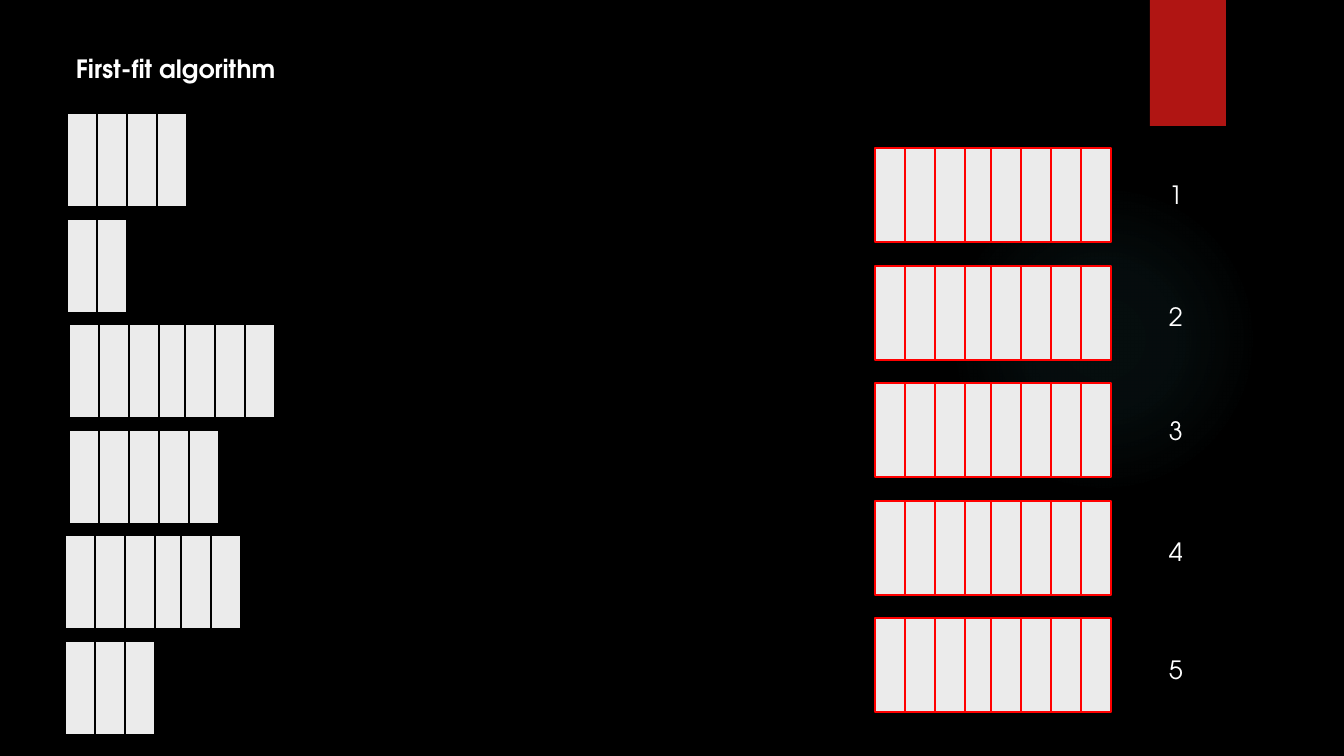
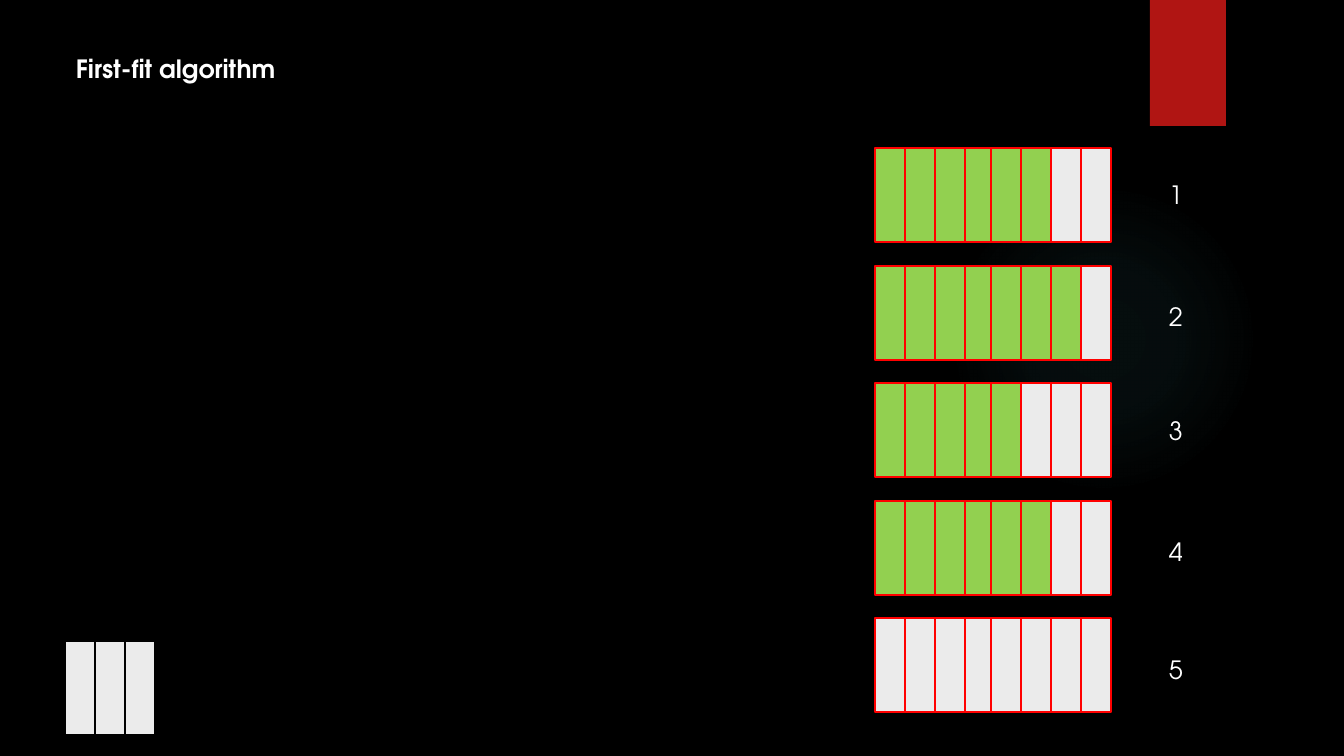
import pptx
import pptx.dml.color
import pptx.enum.shapes
import pptx.enum.text
import pptx.oxml
import pptx.oxml.ns
import pptx.util

COLORS = {
    "background": "000000",
    "text": "FFFFFF",
    "band": "B01513",
    "glow": "50B9C1",
    "free": "EBEBEB",
    "used": "92D050",
    "request_edge": "000000",
    "block_edge": "FF0000",
}
FONT = "TeX Gyre Adventor"
TITLE = "First-fit algorithm"
GLOW_STOPS = ((0, 7), (36, 6), (69, 0))

UNIT_WIDTH, UNIT_HEIGHT, UNIT_STEP = 30, 94, 30
MIDDLE_UNIT, MIDDLE_OVERLAP = 4, 4
REQUEST_TOP, REQUEST_STEP = 113, 105.6
BLOCK_LEFT, BLOCK_TOP, BLOCK_STEP = 875, 148, 117.6
BLOCK_SIZE = 8
NUMBER_LEFT = 1159
NUMBER_TOPS = (174, 296, 410, 531, 649)

REQUESTS = ((67, 4), (67, 2), (69, 7), (69, 5), (65, 6), (65, 3))
STEPS = (
    {"waiting": range(6), "used": (0, 0, 0, 0, 0)},
    {"waiting": (5,), "used": (6, 7, 5, 6, 0)},
)


def px(length):
    return pptx.util.Emu(round(length * 914400 / 100.8))


def color(name):
    return pptx.dml.color.RGBColor.from_string(COLORS[name])


def drawing_xml(content):
    return pptx.oxml.parse_xml(content.replace(
        " ", f" {pptx.oxml.ns.nsdecls('a')} ", 1))


class Deck:
    def __init__(self):
        self.presentation = pptx.Presentation()
        self.presentation.slide_width = px(1344)
        self.presentation.slide_height = px(756)
        backdrop = self.presentation.slide_master.background.fill
        backdrop.solid()
        backdrop.fore_color.rgb = color("background")
        self.slide = None

    def new_slide(self):
        self.slide = self.presentation.slides.add_slide(
            self.presentation.slide_layouts[6])
        self.glow(949, 184, 310)
        self.band(1150, 0, 76, 126)
        self.text(TITLE, 66, 48, 221, bold=True)

    def shape(self, kind, left, top, width, height, fill=None, edge=None):
        figure = self.slide.shapes.add_shape(
            kind, px(left), px(top), px(width), px(height))
        figure.shadow.inherit = False
        if fill:
            figure.fill.solid()
            figure.fill.fore_color.rgb = color(fill)
        else:
            figure.fill.background()
        if edge:
            figure.line.color.rgb = color(edge)
            figure.line.width = pptx.util.Pt(1.5)
        else:
            figure.line.fill.background()
        return figure

    def rectangle(self, left, top, width, height, fill, edge=None):
        return self.shape(pptx.enum.shapes.MSO_SHAPE.RECTANGLE,
                          left, top, width, height, fill, edge)

    def glow(self, left, top, size):
        halo = self.shape(pptx.enum.shapes.MSO_SHAPE.OVAL, left, top, size, size)
        stops = "".join(
            f'<a:gs pos="{position * 1000}"><a:srgbClr val="{COLORS["glow"]}">'
            f'<a:alpha val="{opacity * 1000}"/></a:srgbClr></a:gs>'
            for position, opacity in GLOW_STOPS)
        gradient = drawing_xml(
            f'<a:gradFill rotWithShape="1"><a:gsLst>{stops}</a:gsLst>'
            '<a:path path="circle"><a:fillToRect l="50000" t="50000" '
            'r="50000" b="50000"/></a:path></a:gradFill>')
        properties = halo.element.spPr
        properties.replace(
            properties.find(pptx.oxml.ns.qn("a:noFill")), gradient)

    def band(self, left, top, width, height):
        ribbon = self.rectangle(left, top, width, height, "band")
        effects = ribbon.element.spPr.find(pptx.oxml.ns.qn("a:effectLst"))
        effects.append(drawing_xml(
            f'<a:outerShdw blurRad="{pptx.util.Pt(3)}" '
            f'dist="{pptx.util.Pt(2)}" dir="5400000" rotWithShape="0">'
            '<a:srgbClr val="000000"><a:alpha val="45000"/></a:srgbClr>'
            '</a:outerShdw>'))

    def text(self, words, left, top, width, bold=False):
        frame = self.slide.shapes.add_textbox(
            px(left), px(top), px(width), px(40)).text_frame
        frame.word_wrap = False
        frame.auto_size = pptx.enum.text.MSO_AUTO_SIZE.SHAPE_TO_FIT_TEXT
        run = frame.paragraphs[0].add_run()
        run.text = words
        run.font.name = FONT
        run.font.size = pptx.util.Pt(18)
        run.font.bold = bold
        run.font.color.rgb = color("text")

    def units(self, left, top, count, edge, used=0):
        for index in range(count):
            overlap = (MIDDLE_OVERLAP
                       if index >= MIDDLE_UNIT and count > MIDDLE_UNIT + 1 else 0)
            self.rectangle(left + index * UNIT_STEP - overlap, top,
                           UNIT_WIDTH, UNIT_HEIGHT,
                           "used" if index < used else "free", edge)

    def request(self, row):
        left, size = REQUESTS[row]
        self.units(left, round(REQUEST_TOP + row * REQUEST_STEP),
                   size, "request_edge")

    def block(self, row, used):
        self.units(BLOCK_LEFT, round(BLOCK_TOP + row * BLOCK_STEP),
                   BLOCK_SIZE, "block_edge", used)

    def save(self):
        self.presentation.save("out.pptx")


def main():
    deck = Deck()
    for step in STEPS:
        deck.new_slide()
        for row in step["waiting"]:
            deck.request(row)
        for row, used in enumerate(step["used"]):
            deck.block(row, used)
        for number, top in enumerate(NUMBER_TOPS, 1):
            deck.text(str(number), NUMBER_LEFT, top, 34)
    deck.save()


if __name__ == "__main__":
    main()
